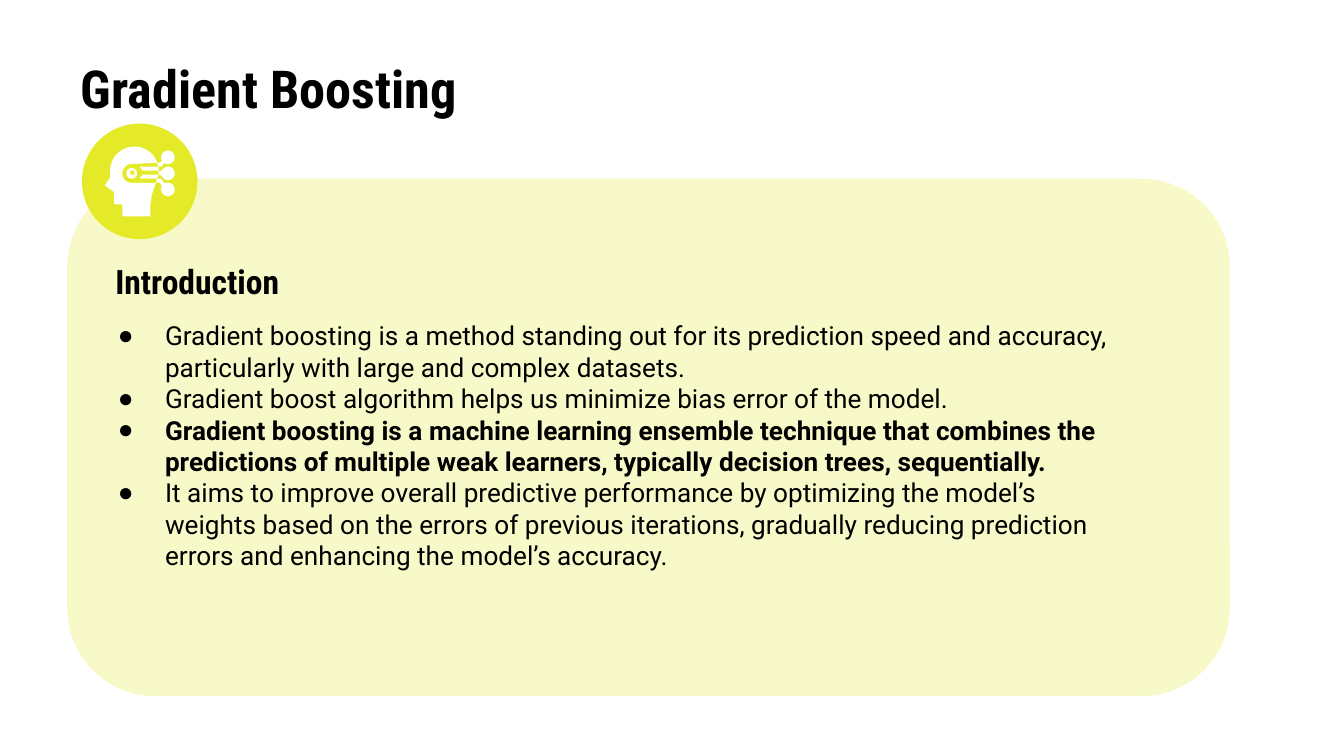
"""Build the Gradient Boosting introduction slide."""
import math

from lxml import etree
from pptx import Presentation
from pptx import util as u
from pptx.dml.color import RGBColor
from pptx.enum import shapes, text
from pptx.oxml.ns import qn

COLORS = {"ink": "000000", "lime": "E4EA27", "icon": "FFFFFF"}
HEADING_FONT, BODY_FONT, BULLET_FONT = "Roboto Condensed", "Roboto", "Arial"
SLIDE_WIDTH = 10

TITLE = "Gradient Boosting"
HEADING = "Introduction"
POINTS = [
    ("Gradient boosting is a method standing out for its prediction speed and accuracy, "
     "particularly with large and complex datasets.", False),
    ("Gradient boost algorithm helps us minimize bias error of the model.", False),
    ("Gradient boosting is a machine learning ensemble technique that combines the "
     "predictions of multiple weak learners, typically decision trees, sequentially.", True),
    ("It aims to improve overall predictive performance by optimizing the model’s "
     "weights based on the errors of previous iterations, gradually reducing prediction "
     "errors and enhancing the model’s accuracy.", False),
]


def arc(x, y, radius, start, end, steps=32):
    angles = [math.radians(start + (end - start) * i / steps) for i in range(steps + 1)]
    return [(x + radius * math.cos(a), y + radius * math.sin(a)) for a in angles]


NODE_X, NODE_R = 1.25, 0.05
EYE = (0.98, 1.29)
ICON = [
    [arc(1.0, 1.27, 0.18, -19, -180)
     + [(0.82, 1.32), (0.78, 1.38), (0.85, 1.43), (0.85, 1.52), (0.91, 1.52), (0.91, 1.61),
        (1.12, 1.61), (1.12, 1.52), (1.13, 1.45), (1.16, 1.36)]
     + arc(*EYE, 0.07, 90, 270)],
    [arc(*EYE, 0.04, 0, 360), [(1.0, 1.27), (1.0, 1.3), (0.97, 1.3), (0.97, 1.27)]],
    [[(1.04, 1.24), (1.06, 1.27), (1.18, 1.27), (1.18, 1.24)]],
    [[(1.06, 1.3), (1.04, 1.33), (1.17, 1.33), (1.18, 1.3)]],
    [arc(NODE_X, 1.17, NODE_R, 120, -210)
     + [(1.19, 1.21), (1.17, 1.21), (1.18, 1.24), (1.2, 1.24)]],
    [arc(NODE_X, 1.29, NODE_R, 160, -160) + [(1.18, 1.27), (1.18, 1.3)]],
    [arc(NODE_X, 1.41, NODE_R, 205, -120)
     + [(1.2, 1.33), (1.17, 1.33), (1.16, 1.36), (1.19, 1.36)]],
]


def paint(shape, color, alpha=None):
    shape.shadow.inherit = False
    shape.fill.solid()
    shape.fill.fore_color.rgb = RGBColor.from_string(COLORS[color])
    shape.line.fill.background()
    if alpha is not None:
        tint = shape._element.spPr.find(qn("a:solidFill"))[0]
        etree.SubElement(tint, qn("a:alpha"), val=str(alpha * 1000))


def add_panel(slide, kind, box, color, alpha=None):
    panel = slide.shapes.add_shape(kind, *map(u.Inches, box))
    paint(panel, color, alpha)
    return panel


def draw_icon(slide):
    icon = slide.shapes.add_group_shape()
    for contours in ICON:
        outlines = [[(u.Inches(x), u.Inches(y)) for x, y in c] for c in contours]
        builder = icon.shapes.build_freeform(*outlines[0][0])
        builder.add_line_segments(outlines[0][1:], close=True)
        for hole in outlines[1:]:
            builder.move_to(*hole[0])
            builder.add_line_segments(hole[1:], close=True)
        paint(builder.convert_to_shape(), "icon")


def write(shape, lines, *, box, font, size, anchor, bullets=False):
    shape.left, shape.top, shape.width, shape.height = map(u.Inches, box)
    frame = shape.text_frame
    frame.word_wrap = True
    frame.auto_size = text.MSO_AUTO_SIZE.NONE
    frame.vertical_anchor = anchor
    frame.margin_left = frame.margin_right = u.Inches(0.1)
    frame.margin_top = frame.margin_bottom = u.Inches(0.1)
    for i, (words, bold) in enumerate(lines):
        line = frame.add_paragraph() if i else frame.paragraphs[0]
        line.alignment = text.PP_ALIGN.LEFT
        run = line.add_run()
        run.text = words
        run.font.name, run.font.size, run.font.bold = font, u.Pt(size), bold
        run.font.color.rgb = RGBColor.from_string(COLORS["ink"])
        if bullets:
            props = line._p.get_or_add_pPr()
            props.set("marL", str(u.Inches(0.35)))
            props.set("indent", str(-u.Inches(0.35)))
            tint = etree.SubElement(props, qn("a:buClr"))
            etree.SubElement(tint, qn("a:srgbClr"), val=COLORS["ink"])
            etree.SubElement(props, qn("a:buFont"), typeface=BULLET_FONT)
            etree.SubElement(props, qn("a:buChar"), char="●")


def main():
    deck = Presentation()
    deck.slide_width = u.Inches(SLIDE_WIDTH)
    deck.slide_height = u.Inches(SLIDE_WIDTH * 9 / 16)
    slide = deck.slides.add_slide(deck.slide_layouts[5])
    middle, top = text.MSO_ANCHOR.MIDDLE, text.MSO_ANCHOR.TOP

    card = add_panel(slide, shapes.MSO_SHAPE.ROUNDED_RECTANGLE,
                     (0.5, 1.33, 8.65, 3.85), "lime", alpha=25)
    card.adjustments[0] = 0.17
    add_panel(slide, shapes.MSO_SHAPE.OVAL, (0.61, 0.92, 0.86, 0.86), "lime")
    write(slide.shapes.title, [(TITLE, True)], box=(0.5, 0.45, 3.19, 0.41),
          font=HEADING_FONT, size=28, anchor=middle)
    draw_icon(slide)

    introduction = slide.shapes.add_group_shape()
    write(introduction.shapes.add_textbox(0, 0, 0, 0), [(HEADING, True)],
          box=(0.76, 1.91, 2.31, 0.36), font=HEADING_FONT, size=18, anchor=middle)
    write(introduction.shapes.add_textbox(0, 0, 0, 0), POINTS,
          box=(0.78, 2.28, 7.7, 2.57), font=BODY_FONT, size=14, anchor=top, bullets=True)
    introduction._element.recalculate_extents()
    deck.save("out.pptx")


if __name__ == "__main__":
    main()
